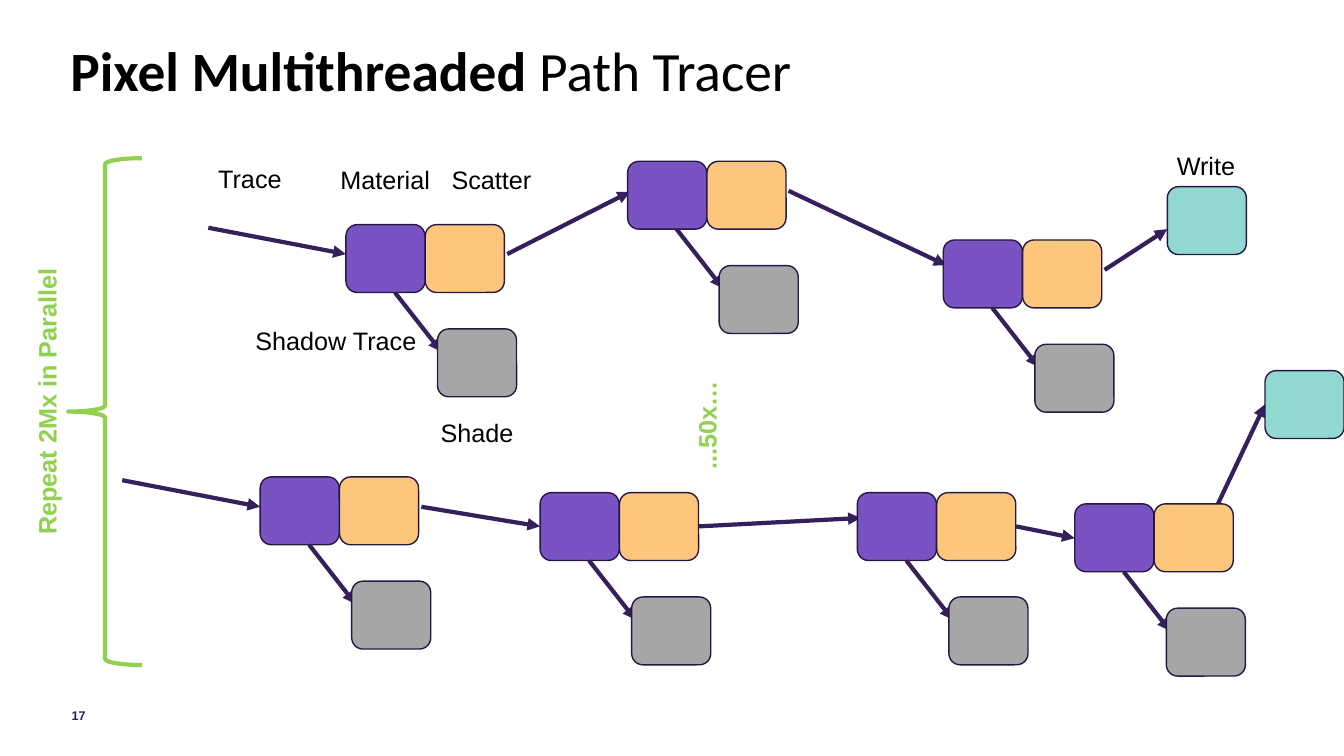
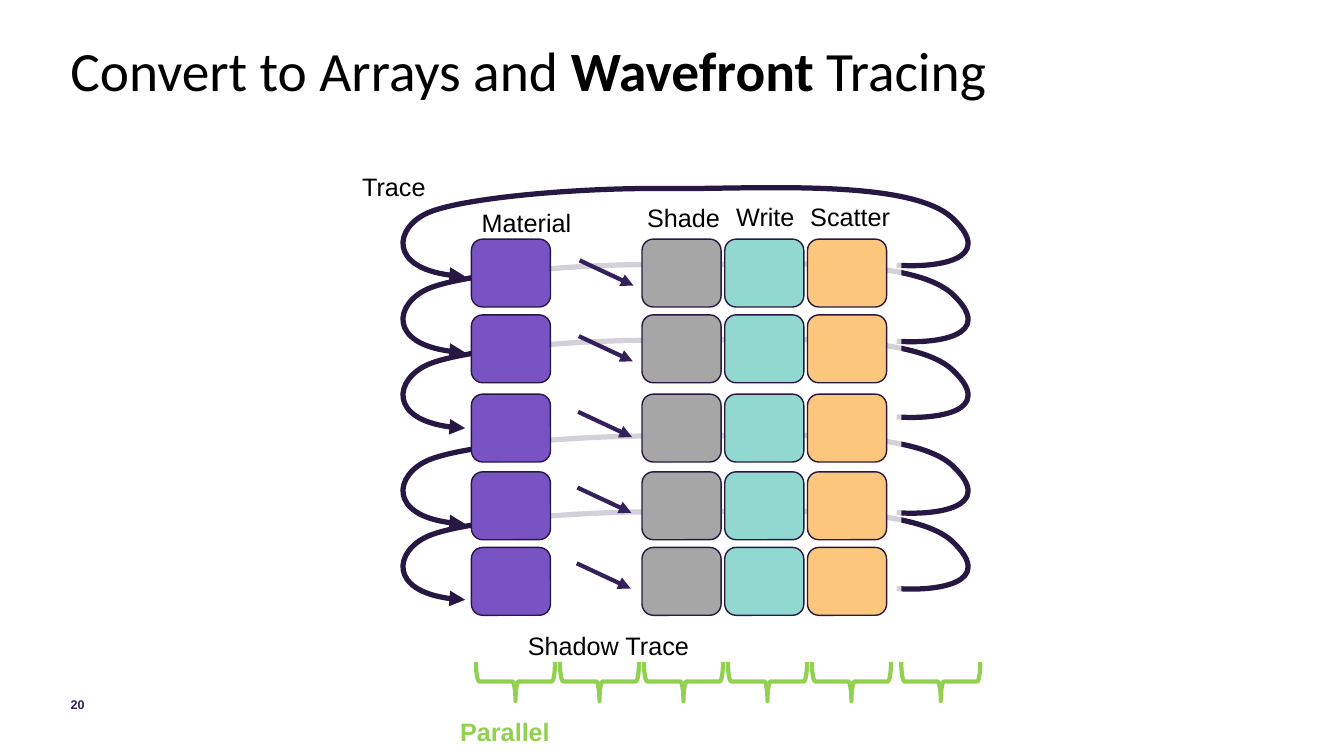
from dataclasses import dataclass
from typing import NamedTuple

import lxml.etree
import pptx
import pptx.dml.color
import pptx.enum.shapes
import pptx.enum.text
import pptx.oxml.ns
import pptx.util

Pt = pptx.util.Pt
RGBColor = pptx.dml.color.RGBColor
Preset = pptx.enum.shapes.MSO_SHAPE
qn = pptx.oxml.ns.qn

BLACK = RGBColor(0x00, 0x00, 0x00)
WHITE = RGBColor(0xFF, 0xFF, 0xFF)
INDIGO = RGBColor(0x34, 0x20, 0x5B)
OUTLINE = RGBColor(0x26, 0x18, 0x43)
GREEN = RGBColor(0x92, 0xD0, 0x50)
MATERIAL = RGBColor(0x79, 0x53, 0xC3)
SCATTER = RGBColor(0xFC, 0xC7, 0x7C)
WRITE = RGBColor(0x90, 0xD8, 0xD0)
SHADE = RGBColor(0xA6, 0xA6, 0xA6)

STAGE_WIDTH, STAGE_HEIGHT = 56.5, 48.5
SCATTER_OFFSET = 56.7
LABEL_HEIGHT = 29


class Point(NamedTuple):
    x: float
    y: float


class Area(NamedTuple):
    left: float
    top: float
    width: float
    height: float

    def emu(self) -> list[int]:
        return [Pt(length) for length in self]


class Span(NamedTuple):
    text: str
    bold: bool = False


@dataclass(frozen=True)
class Label:
    text: str
    left: float
    top: float
    width: float
    color: RGBColor = BLACK
    bold: bool = False
    rotation: float = 0


@dataclass(frozen=True)
class Ray:
    start: Point
    end: Point


PATH_RAYS = [
    Ray(Point(148.8, 162.7), Point(247, 181.5)),
    Ray(Point(362.3, 181.5), Point(450, 137)),
    Ray(Point(563.3, 136.3), Point(676, 189.5)),
    Ray(Point(789, 192.8), Point(833.8, 163.7)),
    Ray(Point(87.3, 343), Point(185.8, 362)),
    Ray(Point(301, 362), Point(385.8, 376)),
    Ray(Point(499, 376), Point(614.8, 370)),
    Ray(Point(725.8, 376), Point(767.6, 384.4)),
    Ray(Point(869, 362), Point(903.6, 288.8)),
]
BOUNCES = [
    Point(247.1, 160.4), Point(448.3, 115.2), Point(673.8, 171.4),
    Point(185.8, 340.6), Point(385.8, 351.9), Point(612.4, 351.9),
    Point(767.7, 359.9),
]
WRITES = [Point(833.8, 133.3), Point(903.6, 264.7)]
PATH_LABELS = [
    Label("Trace", 148.8, 113.3, 60.5),
    Label("Material", 236, 114, 79),
    Label("Scatter", 315.5, 114, 72),
    Label("Write", 833.5, 104, 57),
    Label("Shadow Trace", 175.3, 229, 130.5),
    Label("Shade", 307.6, 294.8, 67),
    Label("Repeat 2Mx in Parallel", -69.8, 271.3, 206.6, GREEN, True, 270),
    Label("...50x…", 465.6, 288.8, 78.5, GREEN, True, 270),
]

WAVE_LABELS = [
    Label("Material", 337, 144.5, 79),
    Label("Scatter", 571.7, 140.5, 72),
    Label("Write", 518.8, 140.5, 57),
    Label("Trace", 251.6, 119, 60.5),
    Label("Shadow Trace", 370, 447, 130.5),
    Label("Shade", 455.2, 141.3, 67),
    Label("Parallel", 321.6, 508.2, 79, GREEN, True),
]
WAVE_COLUMNS = {MATERIAL: 336.7, SHADE: 458.6, WRITE: 517.7, SCATTER: 576.8}
WAVE_ROWS = [170.8, 224.9, 281.5, 337, 391]
LOOP_TOPS = [188.3, 242.4, 310.8, 365, 134]
LOOP_BOX = Area(288.4, 0, 403.2, 63.4)
LOOP_START = Point(640.5, 55.4)
LOOP_CURVES = [
    (Point(668.7, 57.5), Point(711.7, 51.8), Point(680.9, 22.3)),
    (Point(650.5, -7.2), Point(536.7, 1.4), Point(474.2, 0.7)),
    (Point(412.2, 0), Point(329.5, 7.5), Point(305.7, 18)),
    (Point(281.9, 28.5), Point(276.2, 61.2), Point(332.3, 63.4)),
]
VEIL = Area(336.7, 159, 307.2, 288)
BRACE_CENTERS = [368.2 + 60 * index for index in range(5)] + [672]


def add_span(para, text: str, *, font: str = "Arial", size: float = 18,
             color: RGBColor = BLACK, bold: bool = False) -> None:
    span = para.add_run()
    span.text = text
    span.font.name = font
    span.font.size = Pt(size)
    span.font.color.rgb = color
    span.font.bold = bold


def add_centered_box(page, area: Area):
    """Add a text box without insets, its text in the middle of its height."""
    box = page.shapes.add_textbox(*area.emu())
    frame = box.text_frame
    frame.word_wrap = True
    frame.vertical_anchor = pptx.enum.text.MSO_ANCHOR.MIDDLE
    frame.margin_left = frame.margin_right = 0
    frame.margin_top = frame.margin_bottom = 0
    return frame.paragraphs[0]


def add_page(deck, title: list[Span], number: str, corner: Point):
    """Add a page with its title, and its number at the given corner."""
    page = deck.slides.add_slide(deck.slide_layouts[6])
    page.background.fill.solid()
    page.background.fill.fore_color.rgb = WHITE
    para = add_centered_box(page, Area(50.2, 10.8, 788.4, 82.8))
    para.line_spacing = 0.9
    for span in title:
        add_span(para, span.text, font="Calibri", size=39.6, bold=span.bold)
    para = add_centered_box(page, Area(corner.x, corner.y, 34.6, 28.8))
    add_span(para, number, size=9, color=INDIGO, bold=True)
    return page


def add_label(page, label: Label) -> None:
    area = Area(label.left, label.top, label.width, LABEL_HEIGHT)
    box = page.shapes.add_textbox(*area.emu())
    box.rotation = label.rotation
    frame = box.text_frame
    frame.word_wrap = False
    frame.auto_size = pptx.enum.text.MSO_AUTO_SIZE.SHAPE_TO_FIT_TEXT
    add_span(frame.paragraphs[0], label.text, color=label.color, bold=label.bold)


def set_line(shape, color: RGBColor, width: float) -> None:
    shape.line.color.rgb = color
    shape.line.width = Pt(width)


def extend_line(shape, tag: str, **attributes: str) -> None:
    """Append a line property that the public interface lacks."""
    line = shape.element.spPr.find(qn("a:ln"))
    lxml.etree.SubElement(line, qn(tag), **attributes)


def add_ray(page, ray: Ray) -> None:
    connector = page.shapes.add_connector(
        pptx.enum.shapes.MSO_CONNECTOR.STRAIGHT,
        Pt(ray.start.x), Pt(ray.start.y), Pt(ray.end.x), Pt(ray.end.y))
    set_line(connector, INDIGO, 3)
    extend_line(connector, "a:tailEnd", type="triangle")
    lxml.etree.SubElement(connector.element.spPr, qn("a:effectLst"))


def add_stage(page, corner: Point, color: RGBColor) -> None:
    """Add one rounded box standing for a step of the tracer."""
    area = Area(corner.x, corner.y, STAGE_WIDTH, STAGE_HEIGHT)
    stage = page.shapes.add_shape(Preset.ROUNDED_RECTANGLE, *area.emu())
    stage.shadow.inherit = False
    stage.fill.solid()
    stage.fill.fore_color.rgb = color
    set_line(stage, OUTLINE, 1)


def add_bounce(page, corner: Point) -> None:
    """Add a material and scatter pair with its shadow ray and shade box."""
    x, y = corner
    add_stage(page, corner, MATERIAL)
    add_stage(page, Point(x + SCATTER_OFFSET, y), SCATTER)
    add_ray(page, Ray(Point(x + 35, y + STAGE_HEIGHT), Point(x + 68, y + 90.7)))
    add_stage(page, Point(x + 65.4, y + 74.5), SHADE)


def add_brace(page, area: Area, rotation: float = 0) -> None:
    brace = page.shapes.add_shape(Preset.LEFT_BRACE, *area.emu())
    brace.rotation = rotation
    brace.shadow.inherit = False
    brace.fill.background()
    set_line(brace, GREEN, 3)
    extend_line(brace, "a:round")


def add_veil(page) -> None:
    """Add the translucent panel that fades the loops behind the grid."""
    veil = page.shapes.add_shape(Preset.RECTANGLE, *VEIL.emu())
    veil.shadow.inherit = False
    veil.fill.solid()
    veil.fill.fore_color.rgb = WHITE
    veil.line.fill.background()
    color = veil.element.spPr.find(qn("a:solidFill")).find(qn("a:srgbClr"))
    lxml.etree.SubElement(color, qn("a:alpha"), val="80000")


def add_command(outline, tag: str, points) -> None:
    """Append a drawing command whose points lie relative to the loop box."""
    command = lxml.etree.SubElement(outline, qn(tag))
    for point in points:
        lxml.etree.SubElement(command, qn("a:pt"),
                              x=str(Pt(point.x - LOOP_BOX.left)),
                              y=str(Pt(point.y - LOOP_BOX.top)))


def add_loop(page, top: float) -> None:
    """Span the loop box with a freeform, then give it the curved outline."""
    left, _, width, height = LOOP_BOX
    builder = page.shapes.build_freeform(Pt(left), Pt(top))
    builder.add_line_segments([(Pt(left + width), Pt(top + height))], close=False)
    loop = builder.convert_to_shape()
    outline = next(loop.element.iter(qn("a:path")))
    for command in list(outline):
        outline.remove(command)
    add_command(outline, "a:moveTo", [LOOP_START])
    for curve in LOOP_CURVES:
        add_command(outline, "a:cubicBezTo", curve)
    loop.shadow.inherit = False
    loop.fill.background()
    set_line(loop, OUTLINE, 3.75)
    extend_line(loop, "a:tailEnd", type="triangle")


def build_path_tracer(deck) -> None:
    title = [Span("Pixel Multithreaded", True), Span(" Path Tracer")]
    page = add_page(deck, title, "17", Point(51.1, 496.8))
    for ray in PATH_RAYS:
        add_ray(page, ray)
    for corner in BOUNCES:
        add_bounce(page, corner)
    for corner in WRITES:
        add_stage(page, corner, WRITE)
    add_brace(page, Area(48.8, 113, 52.5, 362))
    for label in PATH_LABELS:
        add_label(page, label)


def build_wavefront(deck) -> None:
    title = [Span("Convert to Arrays and "), Span("Wavefront", True), Span(" Tracing")]
    page = add_page(deck, title, "20", Point(50.4, 489))
    for top in LOOP_TOPS:
        add_loop(page, top)
    add_veil(page)
    for row, top in enumerate(WAVE_ROWS):
        for color, left in WAVE_COLUMNS.items():
            add_stage(page, Point(left, top), color)
        x, y = 414 - 0.5 * row, 186 + 54.1 * row
        add_ray(page, Ray(Point(x, y), Point(x + 38.5, y + 18)))
    for center in BRACE_CENTERS:
        add_brace(page, Area(center - 14, 458.5, 28, 56.5), rotation=270)
    for label in WAVE_LABELS:
        add_label(page, label)


def main() -> None:
    deck = pptx.Presentation()
    deck.slide_width, deck.slide_height = Pt(960), Pt(540)
    build_path_tracer(deck)
    build_wavefront(deck)
    deck.save("out.pptx")


if __name__ == "__main__":
    main()
